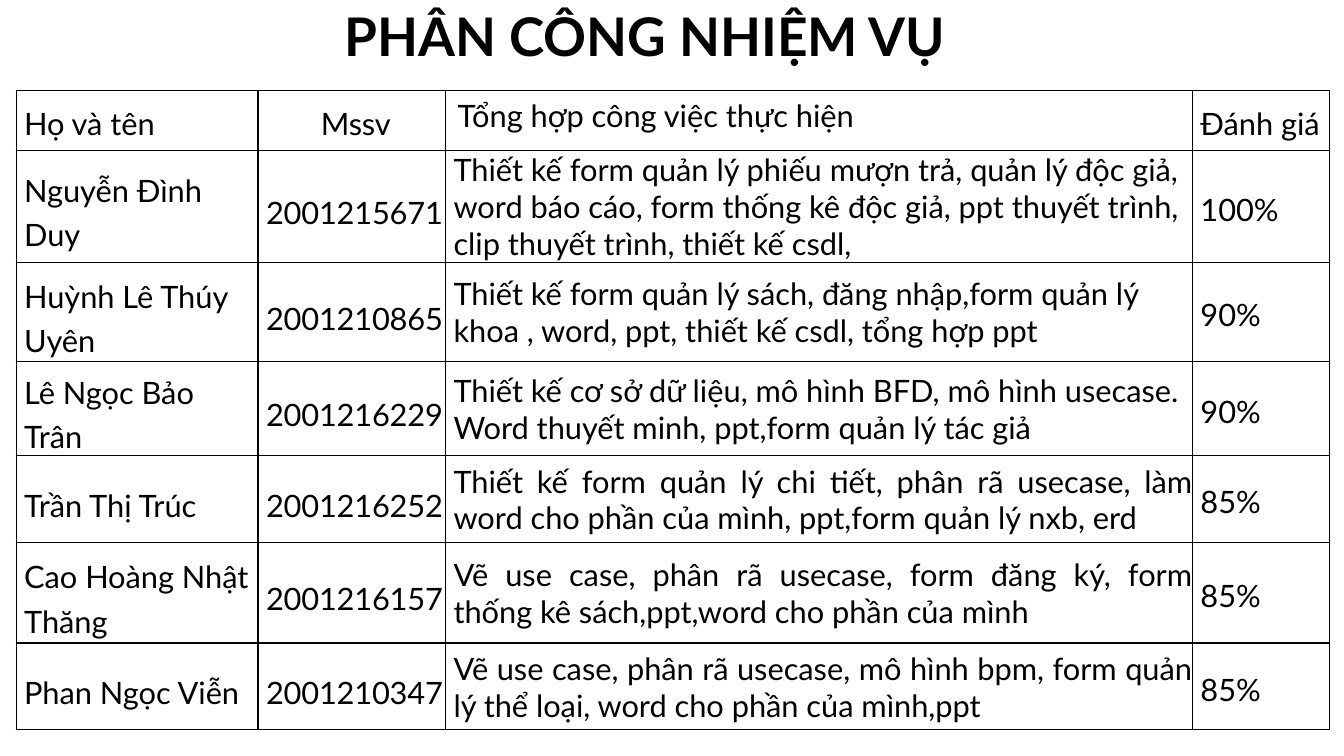
from dataclasses import dataclass

from lxml.etree import SubElement
from pptx import Presentation
from pptx.dml.color import RGBColor
from pptx.enum.text import MSO_ANCHOR, MSO_AUTO_SIZE, PP_ALIGN
from pptx.oxml.ns import qn
from pptx.slide import Slide
from pptx.table import _Cell
from pptx.util import Pt

BLACK = RGBColor(0, 0, 0)
WHITE = RGBColor(255, 255, 255)
FONT = "Lato"
COL_WIDTHS = (172.8, 133.92, 533.52, 97.92)
LEFT, TOP = 11.52, 64.8


@dataclass(frozen=True)
class CellStyle:
    top: float = 4
    left: float = 5.76
    align: PP_ALIGN = PP_ALIGN.LEFT
    line: float | Pt | None = None
    spacing: int = 0


@dataclass(frozen=True)
class Member:
    name: str
    student_id: str
    work: str
    score: str
    height: float
    work_align: PP_ALIGN = PP_ALIGN.LEFT


HEADERS = (
    ("Họ và tên", CellStyle()),
    ("Mssv", CellStyle(align=PP_ALIGN.CENTER, spacing=-10)),
    ("Tổng hợp công việc thực hiện", CellStyle(top=1, left=8.64, line=Pt(18))),
    ("Đánh giá", CellStyle()),
)
HEADER_HEIGHT = 42.48

NAME = CellStyle(line=1.2)
STUDENT_ID = CellStyle(line=1.2, spacing=-10)
SCORE = CellStyle()

MEMBERS = (
    Member("Nguyễn Đình Duy", "2001215671",
           "Thiết kế form quản lý phiếu mượn trả, quản lý độc giả, word báo cáo, "
           "form thống kê độc giả, ppt thuyết trình, clip thuyết trình, thiết kế csdl,",
           "100%", 63.36),
    Member("Huỳnh Lê Thúy Uyên", "2001210865",
           "Thiết kế form quản lý sách, đăng nhập,form quản lý khoa , word, ppt, "
           "thiết kế csdl, tổng hợp ppt",
           "90%", 70.56),
    Member("Lê Ngọc Bảo Trân", "2001216229",
           "Thiết kế cơ sở dữ liệu, mô hình BFD, mô hình usecase. Word thuyết minh, "
           "ppt,form quản lý tác giả",
           "90%", 56.16),
    Member("Trần Thị Trúc", "2001216252",
           "Thiết kế form quản lý chi tiết, phân rã usecase, làm word cho phần của mình, "
           "ppt,form quản lý nxb, erd",
           "85%", 61.92, PP_ALIGN.JUSTIFY),
    Member("Cao Hoàng Nhật Thăng", "2001216157",
           "Vẽ use case, phân rã usecase, form đăng ký, form thống kê sách,ppt,word "
           "cho phần của mình",
           "85%", 72, PP_ALIGN.JUSTIFY),
    Member("Phan Ngọc Viễn", "2001210347",
           "Vẽ use case, phân rã usecase, mô hình bpm, form quản lý thể loại, word "
           "cho phần của mình,ppt",
           "85%", 61.92, PP_ALIGN.JUSTIFY),
)


def add_borders(cell: _Cell) -> None:
    tc_pr = cell._tc.get_or_add_tcPr()
    for side in ("a:lnL", "a:lnR", "a:lnT", "a:lnB"):
        ln = SubElement(tc_pr, qn(side), w=str(Pt(1)))
        fill = SubElement(ln, qn("a:solidFill"))
        SubElement(fill, qn("a:srgbClr"), val=str(BLACK))


def fill_cell(cell: _Cell, text: str, style: CellStyle) -> None:
    add_borders(cell)
    cell.fill.solid()
    cell.fill.fore_color.rgb = WHITE
    cell.vertical_anchor = MSO_ANCHOR.MIDDLE
    cell.margin_left, cell.margin_top = Pt(style.left), Pt(style.top)
    cell.margin_right = cell.margin_bottom = Pt(0)
    p = cell.text_frame.paragraphs[0]
    p.alignment = style.align
    p.line_spacing = style.line
    p.font.name, p.font.size = FONT, Pt(22)
    p.font.color.rgb = BLACK
    r = p.add_run()
    r.text = text
    if style.spacing:
        r._r.get_or_add_rPr().set("spc", str(style.spacing))


def add_assignments(s: Slide) -> None:
    heights = (HEADER_HEIGHT, *(m.height for m in MEMBERS))
    table = s.shapes.add_table(
        len(heights), len(COL_WIDTHS), Pt(LEFT), Pt(TOP),
        Pt(sum(COL_WIDTHS)), Pt(sum(heights))).table
    table.first_row = table.horz_banding = False
    for column, width in zip(table.columns, COL_WIDTHS):
        column.width = Pt(width)
    rows = [HEADERS]
    for m in MEMBERS:
        work = CellStyle(top=1, align=m.work_align)
        rows.append(((m.name, NAME), (m.student_id, STUDENT_ID),
                     (m.work, work), (m.score, SCORE)))
    for row, height, entries in zip(table.rows, heights, rows):
        row.height = Pt(height)
        for cell, (text, style) in zip(row.cells, entries):
            fill_cell(cell, text, style)


def set_title(s: Slide, text: str) -> None:
    sp = s.shapes.title
    sp.left, sp.top, sp.width, sp.height = Pt(239), Pt(-51.84), Pt(828), Pt(104.4)
    tf = sp.text_frame
    tf.text = text
    tf.word_wrap = True
    tf.auto_size = MSO_AUTO_SIZE.NONE
    tf.vertical_anchor = MSO_ANCHOR.BOTTOM
    p = tf.paragraphs[0]
    p.alignment = PP_ALIGN.LEFT
    p.line_spacing = 0.9
    p.font.name, p.font.size, p.font.bold = FONT, Pt(38), True
    p.font.color.rgb = BLACK


def main() -> None:
    prs = Presentation()
    prs.slide_width, prs.slide_height = Pt(960), Pt(540)
    s = prs.slides.add_slide(prs.slide_layouts[5])
    set_title(s, "PHÂN CÔNG NHIỆM VỤ")
    add_assignments(s)
    prs.save("out.pptx")


if __name__ == "__main__":
    main()
